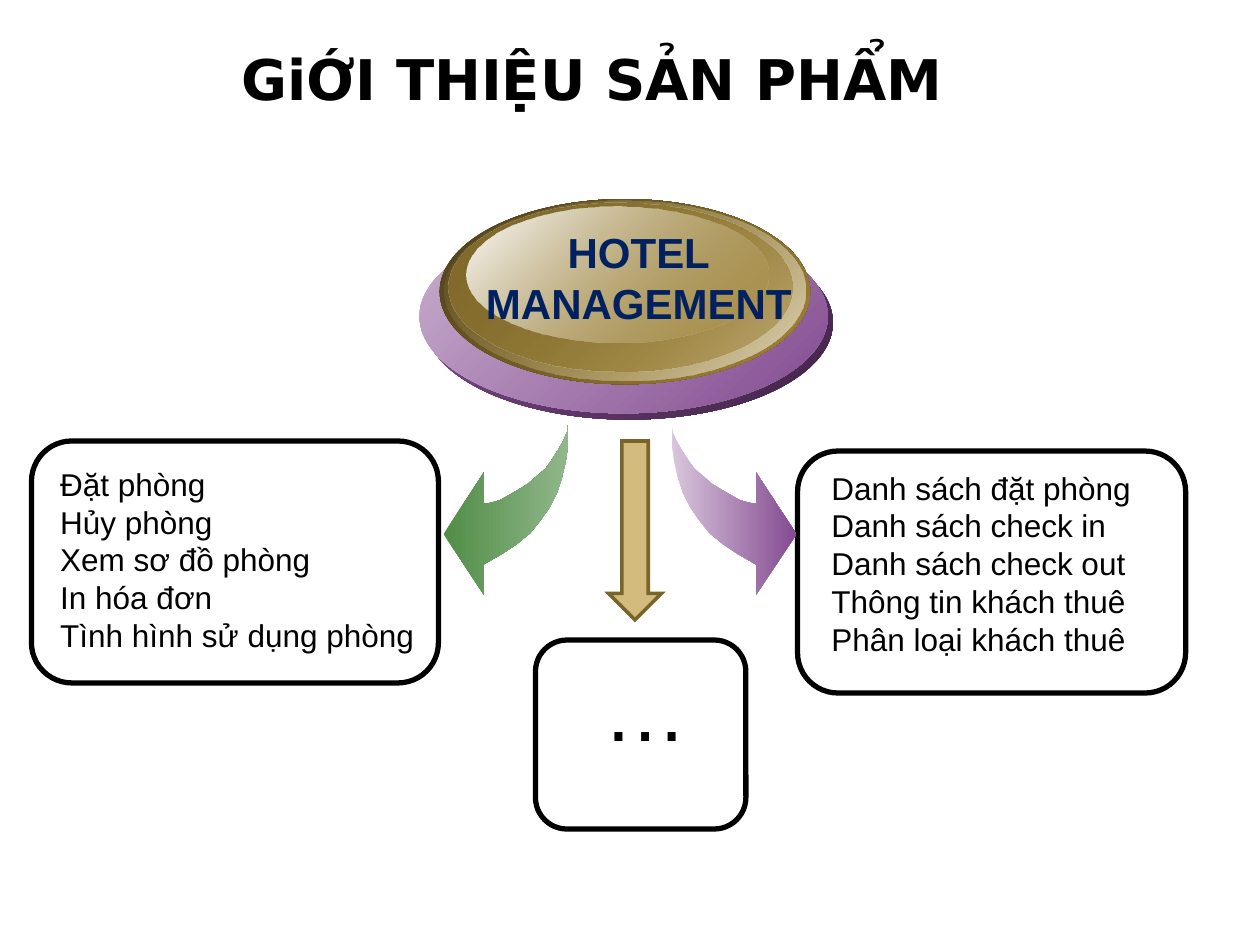
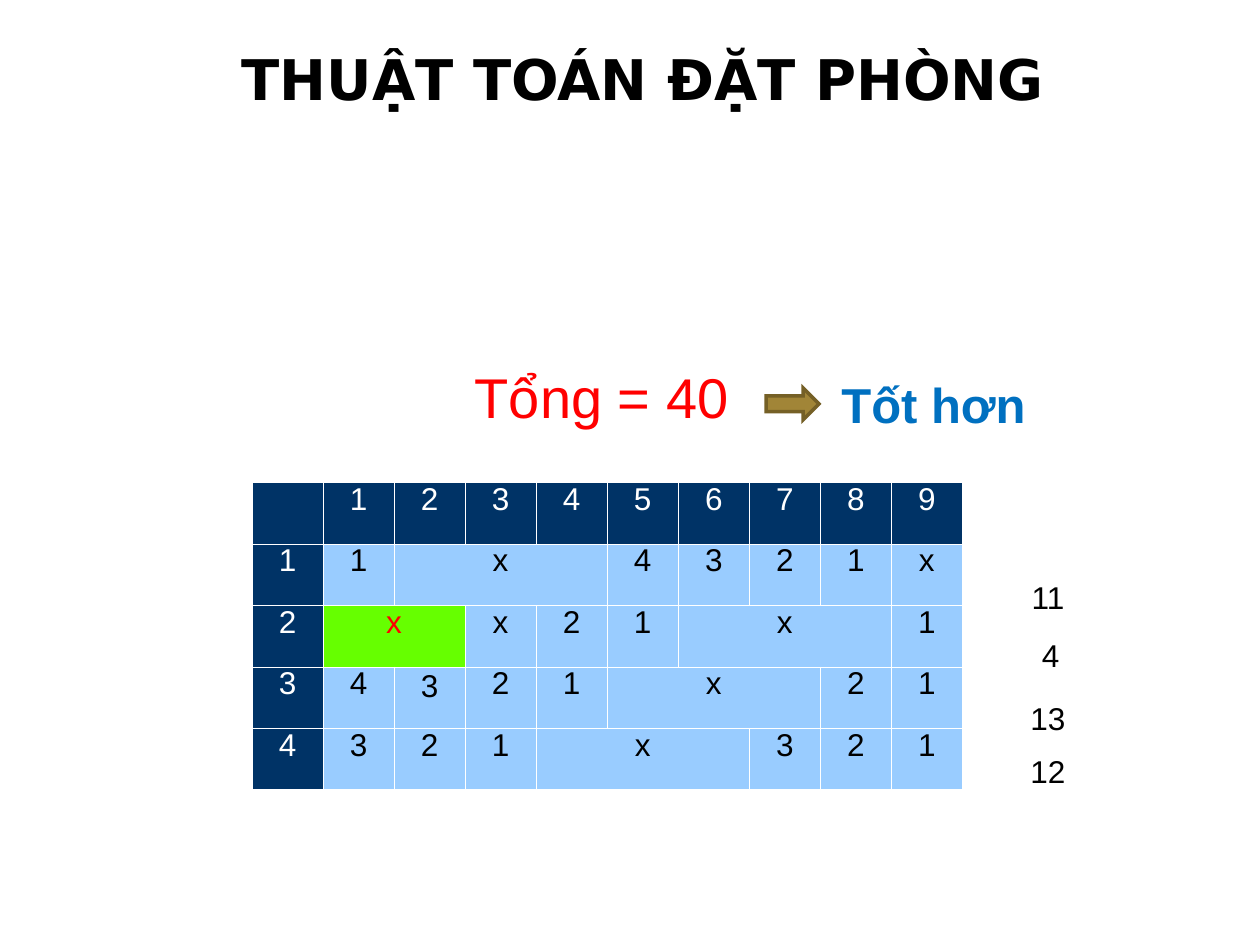
from lxml import etree
from pptx import Presentation
from pptx.dml.color import RGBColor
from pptx.enum import shapes, text
from pptx.oxml import ns
from pptx.util import Inches, Pt

BLACK = RGBColor(0x00, 0x00, 0x00)
WHITE = RGBColor(0xFF, 0xFF, 0xFF)
RED = RGBColor(0xFF, 0x00, 0x00)
BLUE = RGBColor(0x00, 0x70, 0xC0)
NAVY = RGBColor(0x00, 0x20, 0x60)
HEADER = RGBColor(0x00, 0x33, 0x66)
CELL = RGBColor(0x99, 0xCC, 0xFF)
BOOKED = RGBColor(0x66, 0xFF, 0x00)
GREEN = RGBColor(0x51, 0x8D, 0x47)
PALE_GREEN = RGBColor(0x90, 0xB7, 0x8A)
PURPLE = RGBColor(0x84, 0x4B, 0x91)
DARK_PURPLE = RGBColor(0x40, 0x24, 0x47)
LILAC = RGBColor(0xC8, 0xAF, 0xCE)
PALE_LILAC = RGBColor(0xD8, 0xC6, 0xDC)
GOLD = RGBColor(0xA1, 0x85, 0x37)
DARK_GOLD = RGBColor(0x4B, 0x3E, 0x19)
MID_GOLD = RGBColor(0x80, 0x69, 0x2C)
PALE_GOLD = RGBColor(0xDE, 0xD4, 0xB9)
SAND = RGBColor(0xD2, 0xBB, 0x7C)
SAND_EDGE = RGBColor(0x79, 0x64, 0x29)
GOLD_EDGE = RGBColor(0x75, 0x60, 0x26)

BODY_FONT = "Arial"
TITLE_FONT = "DejaVu Sans"
SHAPE = shapes.MSO_SHAPE

# Outline of a curved arrow in hundredths of an inch from its tail, pointing right
SWOOP = [(0, 0), (0, 16), (2, 30), (5, 43), (9, 55), (15, 67), (22, 77),
         (30, 87), (41, 96), (53, 104), (67, 112), (67, 136), (99, 88),
         (67, 39), (67, 64), (61, 63), (54, 61), (47, 57), (40, 53), (32, 48),
         (25, 42), (18, 36), (13, 29), (8, 21), (4, 14), (1, 7)]

# Ellipses of the badge: place, gradient colours, opacity of each colour in percent
BADGE = [((3.37, 1.79, 3.24, 1.54), (PURPLE, DARK_PURPLE), (100, 100)),
         ((3.33, 1.74, 3.24, 1.54), (LILAC, PURPLE), (100, 100)),
         ((3.49, 1.58, 2.94, 1.47), (DARK_GOLD, GOLD), (100, 100)),
         ((3.53, 1.59, 2.86, 1.43), (GOLD, PALE_GOLD), (0, 100)),
         ((3.56, 1.61, 2.73, 1.34), (MID_GOLD, GOLD), (100, 48)),
         ((3.7, 1.64, 2.4, 1.08), (WHITE, GOLD), (100, 38))]

BOOKINGS = ["Đặt phòng", "Hủy phòng", "Xem sơ đồ phòng", "In hóa đơn",
            "Tình hình sử dụng phòng"]
REPORTS = ["Danh sách đặt phòng", "Danh sách check in", "Danh sách check out",
           "Thông tin khách thuê", "Phân loại khách thuê"]

# Rows of the room table; "x:3" is a cell that spans three columns
ROOM_ROWS = ["1 x:3 4 3 2 1 x", "x:2 x 2 1 x:3 1", "4 3 2 1 x:3 2 1",
             "3 2 1 x:3 3 2 1"]
DAYS = 9
ROW_SUMS = [("11", 8.09, 4.54), ("4", 8.17, 5), ("13", 8.08, 5.5),
            ("12", 8.08, 5.92)]


def inches(box):
    return [Inches(v) for v in box]


def add_run(p, words, size, color, bold=False, font=BODY_FONT):
    r = p.add_run()
    r.text = words
    r.font.name, r.font.size, r.font.bold = font, Pt(size), bold
    r.font.color.rgb = color


def add_text(slide, box, lines, size=18, color=BLACK, bold=False, wrap=False,
             font=BODY_FONT):
    tf = slide.shapes.add_textbox(*inches(box)).text_frame
    tf.word_wrap = wrap
    for i, line in enumerate(lines):
        p = tf.add_paragraph() if i else tf.paragraphs[0]
        add_run(p, line, size, color, bold, font)
    return tf


def add_title(slide, words):
    tf = add_text(slide, (1.82, 0.31, 8.18, 0.62), [words], 32, bold=True,
                  wrap=True, font=TITLE_FONT)
    tf.vertical_anchor = text.MSO_ANCHOR.MIDDLE


def add_outlined(slide, kind, box, line, width, fill=None):
    s = slide.shapes.add_shape(kind, *inches(box))
    s.shadow.inherit = False
    if fill is None:
        s.fill.background()
    else:
        s.fill.solid()
        s.fill.fore_color.rgb = fill
    s.line.color.rgb = line
    s.line.width = Pt(width)
    ln = s._element.spPr.find(ns.qn("a:ln"))
    etree.SubElement(ln, ns.qn("a:miter"), lim="800000")


def add_panel(slide, box):
    add_outlined(slide, SHAPE.ROUNDED_RECTANGLE, box, BLACK, 3)


def paint_gradient(s, colors, opacities=(100, 100), angle=0):
    """Fill s with two colours; angle is clockwise in degrees."""
    s.shadow.inherit = False
    s.line.fill.background()
    s.fill.gradient()
    s.fill.gradient_angle = (360 - angle) % 360
    for stop, color in zip(s.fill.gradient_stops, colors):
        stop.color.rgb = color
    gradient = s._element.spPr.find(ns.qn("a:gradFill"))
    for clr, opacity in zip(gradient.iter(ns.qn("a:srgbClr")), opacities):
        if opacity < 100:
            alpha = etree.SubElement(clr, ns.qn("a:alpha"))
            alpha.set("val", str(opacity * 1000))


def add_swoop(slide, x, y, direction, colors):
    """Draw a curved arrow from (x, y); direction is 1 for right, -1 for left."""
    outline = [(direction * dx, dy) for dx, dy in SWOOP]
    builder = slide.shapes.build_freeform(*outline[0], scale=Inches(0.01))
    builder.add_line_segments(outline[1:], close=True)
    paint_gradient(builder.convert_to_shape(Inches(x), Inches(y)), colors)


def add_badge(slide):
    for box, colors, opacities in BADGE:
        s = slide.shapes.add_shape(SHAPE.OVAL, *inches(box))
        paint_gradient(s, colors, opacities, angle=45)
    tf = add_text(slide, (3.67, 1.75, 2.8, 0.9), ["HOTEL"], 24, NAVY, True)
    p = tf.paragraphs[0]
    p.alignment = text.PP_ALIGN.CENTER
    p.add_line_break()
    add_run(p, "MANAGEMENT", 24, NAVY, True)


def style_cell(cell, fill):
    tc_pr = cell._tc.get_or_add_tcPr()
    for side in ("lnL", "lnR", "lnT", "lnB"):
        ln = etree.SubElement(tc_pr, ns.qn(f"a:{side}"), w=str(Pt(0.57)))
        solid = etree.SubElement(ln, ns.qn("a:solidFill"))
        etree.SubElement(solid, ns.qn("a:srgbClr"), val=str(WHITE))
    cell.fill.solid()
    cell.fill.fore_color.rgb = fill


def write_cell(cell, words, color, spacing=0.76):
    p = cell.text_frame.paragraphs[0]
    p.alignment = text.PP_ALIGN.CENTER
    p.line_spacing = spacing
    add_run(p, words, 18, color)


def add_room_table(slide):
    rows, cols = len(ROOM_ROWS) + 1, DAYS + 1
    box = inches((2, 3.83, 5.64, 2.44))
    table = slide.shapes.add_table(rows, cols, *box).table
    for r in range(rows):
        for c in range(cols):
            style_cell(table.cell(r, c), CELL if r and c else HEADER)
    for day in range(1, cols):
        write_cell(table.cell(0, day), str(day), WHITE)
    for room, row in enumerate(ROOM_ROWS, 1):
        write_cell(table.cell(room, 0), str(room), WHITE)
        day = 1
        for item in row.split():
            words, _, span = item.partition(":")
            span = int(span or 1)
            cell = table.cell(room, day)
            if span > 1:
                cell.merge(table.cell(room, day + span - 1))
            is_new = (room, day) == (2, 1)
            if is_new:
                cell.fill.fore_color.rgb = BOOKED
                cell.margin_left = cell.margin_right = Inches(0.04)
            spacing = 0.87 if (room, day) == (3, 2) else 0.76
            write_cell(cell, words, RED if is_new else BLACK, spacing)
            day += span


def build_product_slide(slide):
    add_title(slide, "GiỚI THIỆU SẢN PHẨM")
    add_panel(slide, (6.33, 3.58, 3.08, 1.92))
    add_text(slide, (6.5, 3.67, 2.77, 1.6), REPORTS, wrap=True)
    add_panel(slide, (0.25, 3.5, 3.23, 1.92))
    add_text(slide, (0.38, 3.64, 3.2, 1.6), BOOKINGS, wrap=True)
    add_swoop(slide, 4.51, 3.36, -1, (GREEN, PALE_GREEN))
    add_swoop(slide, 5.33, 3.36, 1, (PALE_LILAC, PURPLE))
    add_badge(slide)
    add_outlined(slide, SHAPE.DOWN_ARROW, (4.83, 3.5, 0.42, 1.42), SAND_EDGE, 2,
                 SAND)
    add_panel(slide, (4.25, 5.08, 1.67, 1.5))
    add_text(slide, (4.69, 5.17, 0.72, 0.9), ["…"], 48, wrap=True)


def build_booking_slide(slide):
    add_title(slide, "THUẬT TOÁN ĐẶT PHÒNG")
    for words, x, y in ROW_SUMS:
        add_text(slide, (x, y, 0.6, 0.38), [words])
    add_text(slide, (3.67, 2.83, 2.75, 0.75), ["Tổng = 40"], 32, RED)
    add_room_table(slide)
    add_text(slide, (6.58, 2.92, 1.9, 0.58), ["Tốt hơn"], 28, BLUE, True)
    add_outlined(slide, SHAPE.RIGHT_ARROW, (6.08, 3.08, 0.42, 0.25), GOLD_EDGE, 2,
                 GOLD)


def main():
    prs = Presentation()
    prs.slide_width, prs.slide_height = Inches(10), Inches(7.5)
    blank = prs.slide_layouts[6]
    for build in (build_product_slide, build_booking_slide):
        build(prs.slides.add_slide(blank))
    prs.save("out.pptx")


if __name__ == "__main__":
    main()
